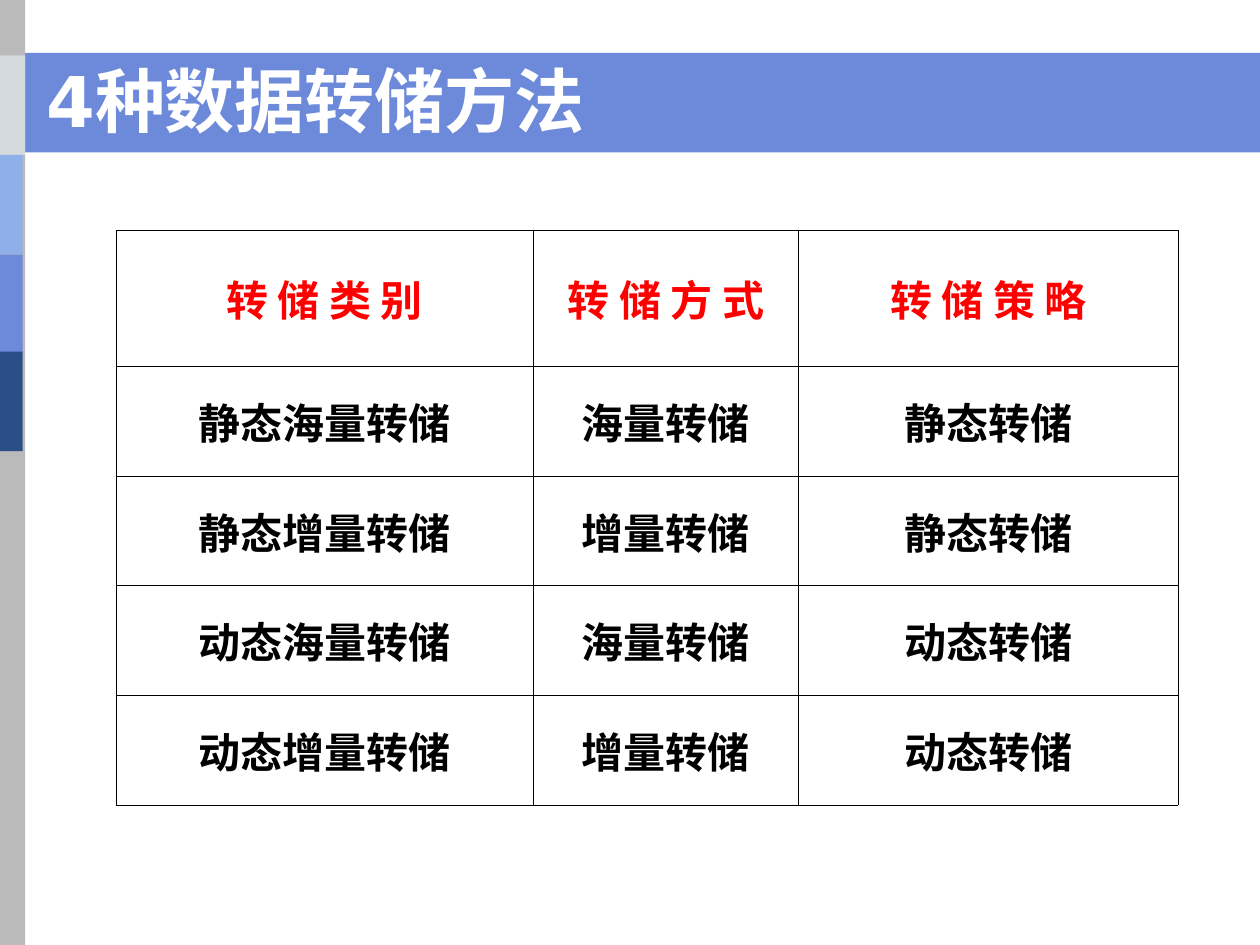
from lxml import etree
from pptx import Presentation
from pptx.dml.color import RGBColor
from pptx.enum import shapes, text
from pptx.oxml.ns import qn
from pptx.util import Inches, Pt

WHITE = RGBColor(0xFF, 0xFF, 0xFF)
BLACK = RGBColor(0, 0, 0)
RED = RGBColor(0xFF, 0, 0)
BLUE = RGBColor(0x6C, 0x89, 0xDA)
GREY = RGBColor(0xBA, 0xBA, 0xBA)
PALE_GREY = RGBColor(0xD3, 0xD9, 0xDD)
LIGHT_BLUE = RGBColor(0x8F, 0xAF, 0xE9)
NAVY = RGBColor(0x2A, 0x4F, 0x86)

TITLE_FONT = "DejaVu Sans"
CJK_FONT = "Noto Sans CJK SC"

TITLE = "4种数据转储方法"
DUMP_METHODS = [
    ("转 储 类 别", "转 储 方 式", "转 储 策 略"),
    ("静态海量转储", "海量转储", "静态转储"),
    ("静态增量转储", "增量转储", "静态转储"),
    ("动态海量转储", "海量转储", "动态转储"),
    ("动态增量转储", "增量转储", "动态转储"),
]
COLUMN_WIDTHS = [3.31, 2.11, 3.01]
ROW_HEIGHTS = [1.08] + [0.87] * 4

# Left, top, width, height, colour
BARS = [
    (0, 0.42, 10, 0.79, BLUE),
    (-0.01, 0, 0.21, 7.5, GREY),
    (0, 0.44, 0.2, 0.79, PALE_GREY),
    (-0.02, 1.23, 0.2, 0.79, LIGHT_BLUE),
    (-0.02, 2.02, 0.2, 0.79, BLUE),
    (-0.02, 2.79, 0.2, 0.79, NAVY),
]


def style(paragraph, size, latin, color):
    font = paragraph.font
    font.size, font.bold, font.name = Pt(size), True, latin
    font.color.rgb = color
    defaults = paragraph._p.pPr.find(qn("a:defRPr"))
    etree.SubElement(defaults, qn("a:ea"), typeface=CJK_FONT)


def add_borders(cell):
    properties = cell._tc.get_or_add_tcPr()
    for side in ("lnL", "lnR", "lnT", "lnB"):
        line = etree.SubElement(properties, qn(f"a:{side}"), w=str(Pt(0.45)))
        fill = etree.SubElement(line, qn("a:solidFill"))
        etree.SubElement(fill, qn("a:srgbClr"), val=str(BLACK))


prs = Presentation()
prs.slide_width, prs.slide_height = Inches(10), Inches(7.5)
slide = prs.slides.add_slide(prs.slide_layouts[6])

# Title band and side strip
for *place, color in BARS:
    bar = slide.shapes.add_shape(shapes.MSO_SHAPE.RECTANGLE, *map(Inches, place))
    bar.shadow.inherit = False
    bar.fill.solid()
    bar.fill.fore_color.rgb = color
    bar.line.fill.background()

# Title
title = slide.shapes.add_textbox(*map(Inches, (0.27, 0.42, 9.37, 0.75))).text_frame
title.word_wrap = True
title.vertical_anchor = text.MSO_ANCHOR.BOTTOM
title.text = TITLE
style(title.paragraphs[0], 40, TITLE_FONT, WHITE)

# Table of dump methods
table = slide.shapes.add_table(
    len(DUMP_METHODS), len(COLUMN_WIDTHS), Inches(0.92), Inches(1.83),
    Inches(sum(COLUMN_WIDTHS)), Inches(sum(ROW_HEIGHTS))).table
for column, width in zip(table.columns, COLUMN_WIDTHS):
    column.width = Inches(width)
for row, height in zip(table.rows, ROW_HEIGHTS):
    row.height = Inches(height)

for r, labels in enumerate(DUMP_METHODS):
    for c, label in enumerate(labels):
        cell = table.cell(r, c)
        cell.text = label
        cell.vertical_anchor = text.MSO_ANCHOR.MIDDLE
        add_borders(cell)
        cell.fill.background()
        paragraph = cell.text_frame.paragraphs[0]
        paragraph.alignment = text.PP_ALIGN.CENTER
        style(paragraph, 24, CJK_FONT, BLACK if r else RED)

prs.save("out.pptx")
